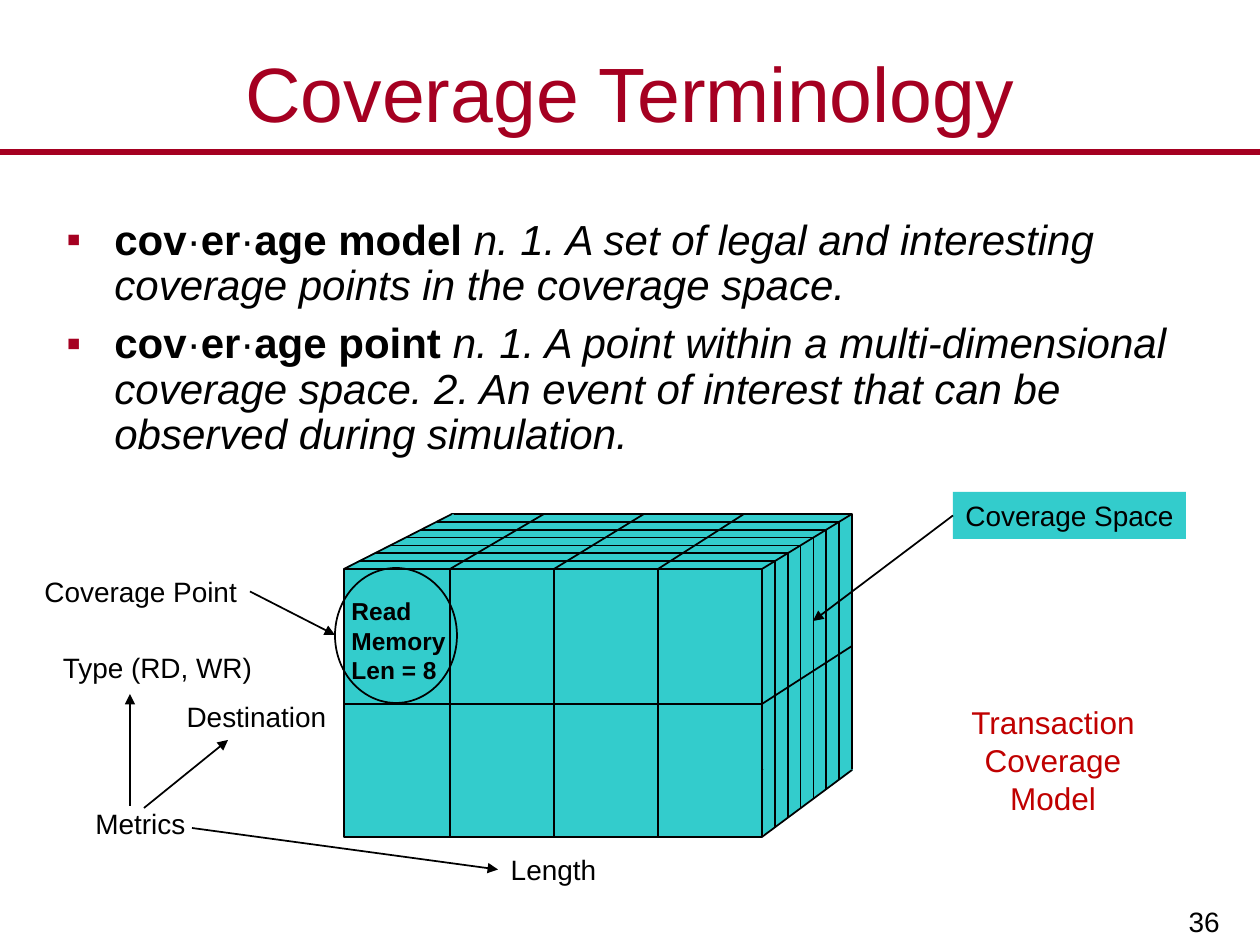
from dataclasses import dataclass
from typing import Optional

from lxml import etree
from pptx import Presentation
from pptx.dml.color import RGBColor
from pptx.enum.shapes import MSO_CONNECTOR, MSO_SHAPE
from pptx.enum.text import MSO_ANCHOR, PP_ALIGN
from pptx.oxml.ns import qn
from pptx.util import Emu, Pt

STRAIGHT = MSO_CONNECTOR.STRAIGHT
RECTANGLE = MSO_SHAPE.RECTANGLE
TRIANGLE = MSO_SHAPE.RIGHT_TRIANGLE
OVAL = MSO_SHAPE.OVAL
LEFT, CENTER, RIGHT = PP_ALIGN.LEFT, PP_ALIGN.CENTER, PP_ALIGN.RIGHT
TOP, MIDDLE, BOTTOM = MSO_ANCHOR.TOP, MSO_ANCHOR.MIDDLE, MSO_ANCHOR.BOTTOM

PX_PER_INCH = 126
FONT = "Arial"
COLORS = {"accent": "A50021", "ink": "000000", "cube": "33CCCC", "caption": "C00000"}
LEFT_SIDE, RIGHT_SIDE = 1, 3


@dataclass(frozen=True)
class Box:
    left: int
    top: int
    width: int
    height: int


@dataclass(frozen=True)
class Label:
    text: str
    box: Box
    size: int = 16
    color: str = "ink"
    align: PP_ALIGN = LEFT
    anchor: MSO_ANCHOR = TOP
    bold: bool = False
    wrap: bool = False
    fill: Optional[str] = None


@dataclass(frozen=True)
class Arrow:
    start: tuple[int, int]
    end: tuple[int, int]
    start_label: Optional[str] = None
    end_label: Optional[str] = None


@dataclass(frozen=True)
class Definition:
    term: str
    meaning: str


TITLE = Label("Coverage Terminology", Box(0, 38, 1260, 108), 44, "accent", CENTER, MIDDLE, wrap=True)
BODY = Box(54, 213, 1148, 325)
DEFINITIONS = [
    Definition("model", "n. 1. A set of legal and interesting coverage points in the coverage space."),
    Definition("point", "n. 1. A point within a multi-dimensional coverage space. "
                        "2. An event of interest that can be observed during simulation."),
]

BACK = Box(452, 514, 400, 256)
FRONT = Box(344, 569, 418, 268)
FRONT_RIGHT = FRONT.left + FRONT.width
FRONT_BOTTOM = FRONT.top + FRONT.height
BACK_RIGHT = BACK.left + BACK.width
BACK_BOTTOM = BACK.top + BACK.height
ROW_FRONT, ROW_BACK = 704, 646
COLUMNS, LAYERS = 4, 7

LABELS = [
    Label("Destination", Box(174, 693, 165, 47), align=CENTER),
    Label("Length", Box(498, 846, 111, 47), align=CENTER),
    Label("Metrics", Box(83, 800, 116, 47)),
    Label("Coverage Space", Box(953, 492, 233, 47), fill="cube"),
    Label("Read\nMemory\nLen = 8", Box(339, 597, 130, 87), 14, anchor=MIDDLE, bold=True),
    Label("Coverage Point", Box(32, 568, 218, 47)),
    Label("Type (RD, WR)", Box(49, 644, 217, 47), align=CENTER),
    Label("Transaction Coverage Model", Box(930, 697, 246, 127), 18, "caption", CENTER, wrap=True),
    Label("36", Box(981, 872, 251, 72), align=RIGHT, anchor=BOTTOM, wrap=True),
]

ARROWS = [
    Arrow((144, 808), (228, 740)),
    Arrow((192, 828), (498, 870), end_label="Length"),
    Arrow((953, 516), (813, 621), start_label="Coverage Space"),
    Arrow((250, 591), (335, 635), start_label="Coverage Point"),
    Arrow((130, 806), (130, 694)),
]


def px(length: float) -> Emu:
    return Emu(round(length * 914400 / PX_PER_INCH))


def rgb(name: str) -> RGBColor:
    return RGBColor.from_string(COLORS[name])


def place(shape, box: Box) -> None:
    shape.left, shape.top = px(box.left), px(box.top)
    shape.width, shape.height = px(box.width), px(box.height)


def add_run(paragraph, text: str, size: int, color: str, bold=False, italic=False) -> None:
    run = paragraph.add_run()
    run.text = text
    run.font.name = FONT
    run.font.size = Pt(size)
    run.font.bold = bold
    run.font.italic = italic
    run.font.color.rgb = rgb(color)


def write_label(shape, label: Label) -> None:
    frame = shape.text_frame
    frame.word_wrap = label.wrap
    frame.vertical_anchor = label.anchor
    for index, text in enumerate(label.text.split("\n")):
        paragraph = frame.add_paragraph() if index else frame.paragraphs[0]
        paragraph.alignment = label.align
        add_run(paragraph, text, label.size, label.color, label.bold)


def add_preset(slide, kind, box: Box, fill: Optional[str], line: Optional[str]):
    shape = slide.shapes.add_shape(kind, px(box.left), px(box.top), px(box.width), px(box.height))
    shape.shadow.inherit = False
    if fill:
        shape.fill.solid()
        shape.fill.fore_color.rgb = rgb(fill)
    else:
        shape.fill.background()
    if line:
        shape.line.color.rgb = rgb(line)
        shape.line.width = Pt(1)
    else:
        shape.line.fill.background()
    return shape


def add_label(slide, label: Label):
    box = label.box
    if label.fill:
        shape = add_preset(slide, RECTANGLE, box, label.fill, None)
    else:
        shape = slide.shapes.add_textbox(px(box.left), px(box.top), px(box.width), px(box.height))
    write_label(shape, label)
    return shape


def add_line(slide, start, end, color: str = "ink", width: int = 1):
    connector = slide.shapes.add_connector(STRAIGHT, *map(px, (*start, *end)))
    connector.line.color.rgb = rgb(color)
    connector.line.width = Pt(width)
    etree.SubElement(connector._element.spPr, qn("a:effectLst"))
    return connector


def add_arrow(slide, arrow: Arrow, labels: dict) -> None:
    connector = add_line(slide, arrow.start, arrow.end)
    etree.SubElement(connector.line._get_or_add_ln(), qn("a:tailEnd"), type="triangle")
    if arrow.start_label:
        side = LEFT_SIDE if arrow.end[0] < arrow.start[0] else RIGHT_SIDE
        connector.begin_connect(labels[arrow.start_label], side)
    if arrow.end_label:
        connector.end_connect(labels[arrow.end_label], LEFT_SIDE)


def add_definitions(slide) -> None:
    shape = slide.shapes.add_textbox(px(BODY.left), px(BODY.top), px(BODY.width), px(BODY.height))
    frame = shape.text_frame
    frame.word_wrap = True
    for index, definition in enumerate(DEFINITIONS):
        paragraph = frame.add_paragraph() if index else frame.paragraphs[0]
        paragraph.line_spacing = 0.9
        if index:
            paragraph.space_before = Pt(7.2)
        properties = paragraph._p.get_or_add_pPr()
        properties.set("marL", str(px(48)))
        properties.set("indent", str(px(-48)))
        bullet_color = etree.SubElement(properties, qn("a:buClr"))
        etree.SubElement(bullet_color, qn("a:srgbClr"), val=COLORS["accent"])
        etree.SubElement(properties, qn("a:buFont"), typeface=FONT)
        etree.SubElement(properties, qn("a:buChar"), char="▪")
        for text in ("cov", "·", "er", "·", f"age {definition.term} "):
            add_run(paragraph, text, 24, "ink", bold=text != "·")
        add_run(paragraph, definition.meaning, 24, "ink", italic=True)


def add_cube(slide) -> None:
    for face in (BACK, FRONT):
        add_preset(slide, RECTANGLE, face, "cube", "ink")
    for box, flip in ((Box(348, 515, 105, 52), "flipH"), (Box(764, 770, 88, 64), "flipV")):
        corner = add_preset(slide, TRIANGLE, box, "cube", "cube")
        corner._element.spPr.get_or_add_xfrm().set(flip, "1")
    add_line(slide, (FRONT.left, FRONT.top), (BACK.left, BACK.top))
    add_line(slide, (FRONT_RIGHT, FRONT.top), (BACK_RIGHT, BACK.top))
    add_line(slide, (FRONT_RIGHT, FRONT_BOTTOM), (BACK_RIGHT, BACK_BOTTOM))
    add_line(slide, (FRONT.left, ROW_FRONT), (FRONT_RIGHT, ROW_FRONT))
    add_line(slide, (FRONT_RIGHT, ROW_FRONT), (BACK_RIGHT, ROW_BACK))
    for column in range(1, COLUMNS):
        x = FRONT.left + 2 + 104 * column
        add_line(slide, (x, FRONT.top), (x, FRONT_BOTTOM))
        add_line(slide, (x, FRONT.top), (BACK.left - 8 + 100 * column, BACK.top))
    for layer in range(1, LAYERS):
        depth = layer / LAYERS
        left = FRONT.left + (BACK.left - FRONT.left) * depth
        right = FRONT_RIGHT + (BACK_RIGHT - FRONT_RIGHT) * depth
        top = FRONT.top + (BACK.top - FRONT.top) * depth
        bottom = FRONT_BOTTOM + (BACK_BOTTOM - FRONT_BOTTOM) * depth
        add_line(slide, (left, top), (right, top))
        add_line(slide, (right, bottom), (right, top))


def main() -> None:
    presentation = Presentation()
    presentation.slide_width, presentation.slide_height = px(1260), px(945)
    slide = presentation.slides.add_slide(presentation.slide_layouts[5])
    add_line(slide, (0, 152), (1260, 152), "accent", 3)
    place(slide.shapes.title, TITLE.box)
    write_label(slide.shapes.title, TITLE)
    add_definitions(slide)
    add_cube(slide)
    labels = {label.text: add_label(slide, label) for label in LABELS}
    add_preset(slide, OVAL, Box(335, 568, 122, 135), None, "ink")
    for arrow in ARROWS:
        add_arrow(slide, arrow, labels)
    presentation.save("out.pptx")


if __name__ == "__main__":
    main()
